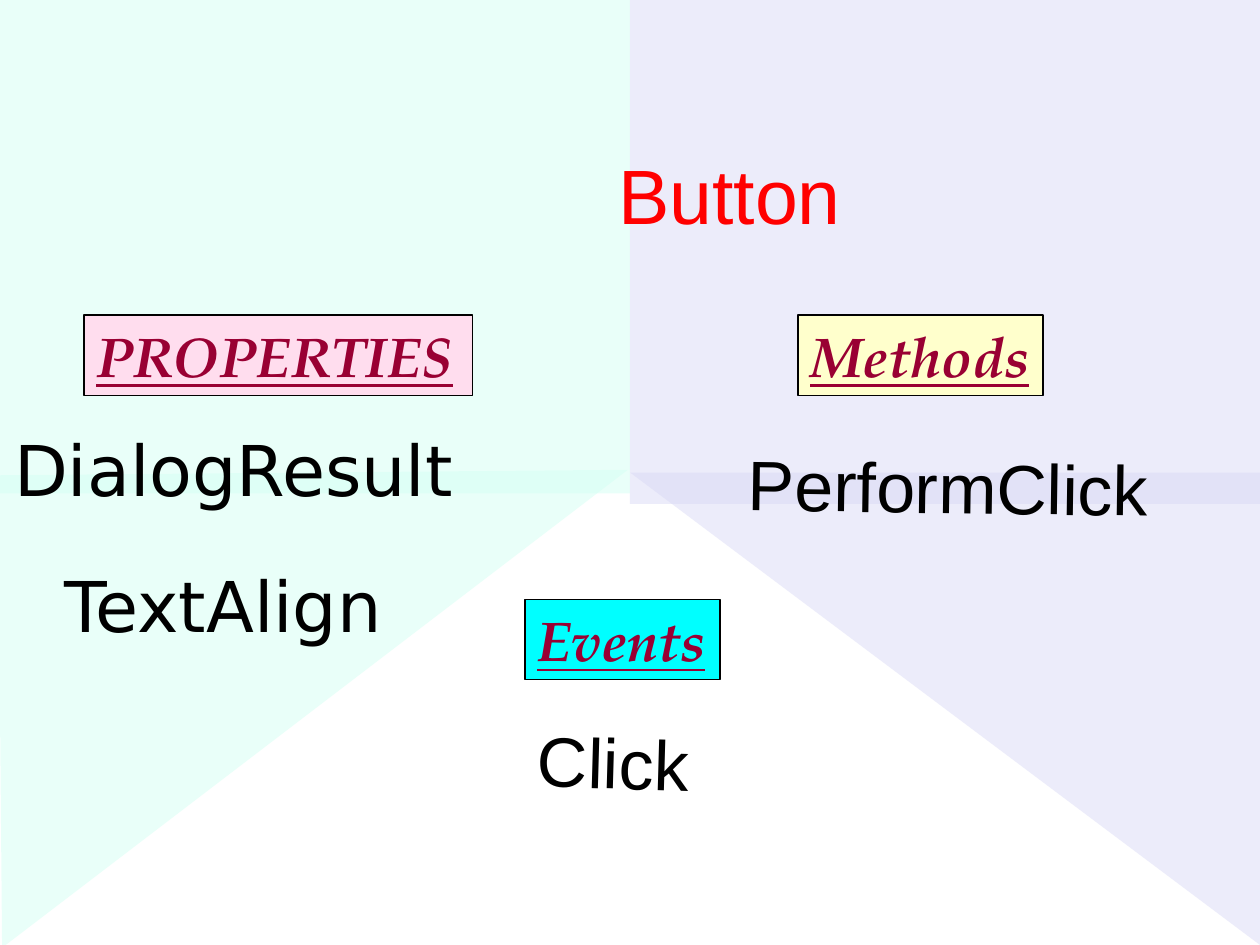
from lxml.etree import SubElement
from pptx import Presentation
from pptx.dml.color import RGBColor
from pptx.enum.shapes import MSO_SHAPE
from pptx.enum.text import MSO_ANCHOR, PP_ALIGN
from pptx.oxml.ns import qn
from pptx.util import Pt

HEADING_COLOR = "990033"


def rgb(value):
    return RGBColor.from_string(value)


def place(box):
    return [Pt(length) for length in box]


def add_block(shapes, kind, box, color):
    block = shapes.add_shape(kind, *place(box))
    block.shadow.inherit = False
    block.fill.solid()
    block.fill.fore_color.rgb = rgb(color)
    return block


def add_backdrop(slide, color, triangle_box, rotation, panel_box):
    """Group a half-transparent triangle and panel that overlap."""
    group = slide.shapes.add_group_shape()
    for kind, box, angle in ((MSO_SHAPE.RIGHT_TRIANGLE, triangle_box, rotation),
                             (MSO_SHAPE.RECTANGLE, panel_box, 0)):
        block = add_block(group.shapes, kind, box, color)
        block.rotation = angle
        block.line.fill.background()
        tint = block.fill._xPr.find(qn("a:solidFill"))[0]
        SubElement(tint, qn("a:alpha"), val="50000")


def write(shape, text, font_name, size, color, align=PP_ALIGN.LEFT):
    paragraph = shape.text_frame.paragraphs[0]
    paragraph.text = text
    paragraph.alignment = align
    font = paragraph.font
    font.name, font.size, font.color.rgb = font_name, Pt(size), rgb(color)
    return font


def add_heading(slide, text, box, color):
    heading = add_block(slide.shapes, MSO_SHAPE.RECTANGLE, box, color)
    heading.line.color.rgb = rgb("000000")
    heading.line.width = Pt(0.75)
    heading.text_frame.word_wrap = False
    heading.text_frame.vertical_anchor = MSO_ANCHOR.TOP
    font = write(heading, text, "TeX Gyre Pagella", 32, HEADING_COLOR)
    font.bold = font.italic = font.underline = True


def add_member(slide, text, box, font_name, rotation=0):
    member = slide.shapes.add_textbox(*place(box))
    member.text_frame.word_wrap = True
    member.rotation = rotation
    write(member, text, font_name, 40, "000000")


def add_title(slide, text, box):
    title = slide.shapes.add_textbox(*place(box))
    title.text_frame.word_wrap = True
    title.text_frame.vertical_anchor = MSO_ANCHOR.MIDDLE
    write(title, text, "Arial", 44, "FF0000", PP_ALIGN.CENTER)


def main():
    deck = Presentation()
    deck.slide_width, deck.slide_height = Pt(720), Pt(540)
    slide = deck.slides.add_slide(deck.slide_layouts[6])

    add_backdrop(slide, "DADAF6", (360, 270, 360, 270), 180, (360, 0, 360, 288))
    add_backdrop(slide, "D5FFF4", (45, 225, 270, 360), 89.5, (0, 0, 360, 282))

    add_heading(slide, "PROPERTIES", (48, 180, 222, 46), "FFDDEE")
    add_heading(slide, "Events", (300, 342.5, 111.5, 46), "00FFFF")
    add_heading(slide, "Methods", (456, 180, 140, 46), "FFFFCC")

    add_member(slide, "DialogResult", (1, 240, 271, 55.5), "DejaVu Sans")
    add_member(slide, "TextAlign", (30, 318, 216, 55.5), "DejaVu Sans")
    add_member(slide, "PerformClick", (420.5, 250.5, 293, 55.5), "Arial", 0.9)
    add_member(slide, "Click", (300, 408, 151, 55.5), "Arial", 1.6)

    add_title(slide, "Button", (96, 78, 642, 65))
    deck.save("out.pptx")


if __name__ == "__main__":
    main()
